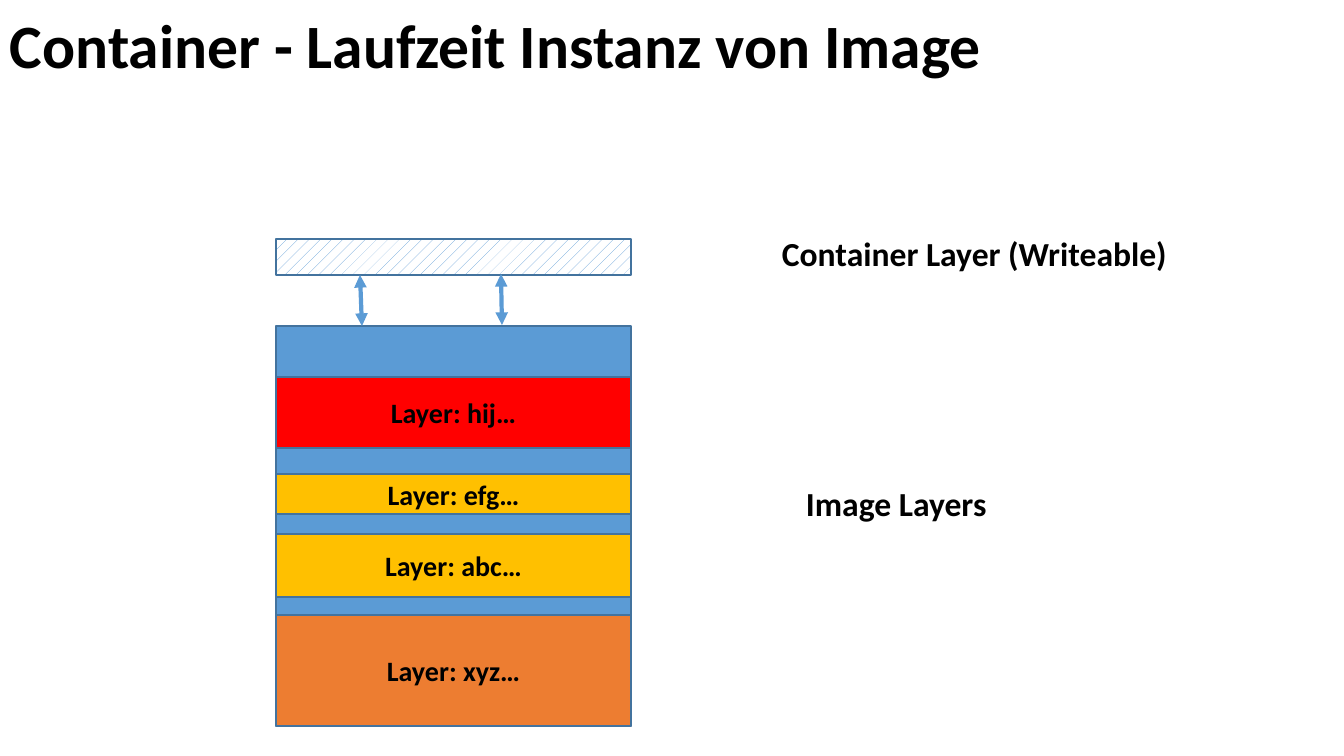
from lxml.etree import SubElement
from pptx import Presentation
from pptx.dml.color import RGBColor
from pptx.enum.dml import MSO_PATTERN
from pptx.enum.shapes import MSO_CONNECTOR, MSO_SHAPE
from pptx.enum.text import MSO_ANCHOR, MSO_AUTO_SIZE, PP_ALIGN
from pptx.oxml.ns import qn
from pptx.util import Pt

EMU_PER_PIXEL = 914400 / 100.8
FONT = "Calibri"
COLORS = {
    "text": "000000",
    "paper": "FFFFFF",
    "image": "5B9BD5",
    "outline": "43739E",
    "base": "ED7D31",
    "middle": "FFC000",
    "top": "FF0000",
}
STACK_LEFT, STACK_WIDTH = 276, 355


def px(value):
    return round(value * EMU_PER_PIXEL)


def color(key):
    return RGBColor.from_string(COLORS[key])


def write(frame, text, size, align):
    paragraph = frame.paragraphs[0]
    paragraph.alignment = align
    run = paragraph.add_run()
    run.text = text
    run.font.name = FONT
    run.font.size = Pt(size)
    run.font.bold = True
    run.font.color.rgb = color("text")
    return paragraph


def add_label(slide, text, left, top, width, height, size=24):
    label = slide.shapes.add_textbox(px(left), px(top), px(width), px(height))
    frame = label.text_frame
    frame.word_wrap = True
    write(frame, text, size, PP_ALIGN.LEFT)
    return frame


def add_layer(slide, top, height, fill, text=None):
    layer = slide.shapes.add_shape(
        MSO_SHAPE.RECTANGLE, px(STACK_LEFT), px(top), px(STACK_WIDTH), px(height))
    layer.shadow.inherit = False
    layer.fill.solid()
    layer.fill.fore_color.rgb = color(fill)
    layer.line.color.rgb = color("outline")
    layer.line.width = Pt(1)
    if text:
        layer.text_frame.word_wrap = True
        layer.text_frame.vertical_anchor = MSO_ANCHOR.MIDDLE
        write(layer.text_frame, text, 20, PP_ALIGN.CENTER)
    return layer


def add_double_arrow(slide, x1, y1, x2, y2):
    arrow = slide.shapes.add_connector(
        MSO_CONNECTOR.STRAIGHT, px(x1), px(y1), px(x2), px(y2))
    arrow.line.color.rgb = color("image")
    arrow.line.width = Pt(3)
    line = arrow.line._get_or_add_ln()
    for end in ("a:headEnd", "a:tailEnd"):
        SubElement(line, qn(end), type="triangle")
    SubElement(arrow._element.spPr, qn("a:effectLst"))


def main():
    prs = Presentation()
    prs.slide_width, prs.slide_height = px(1344), px(756)
    slide = prs.slides.add_slide(prs.slide_layouts[6])

    # Title
    title = add_label(slide, "Container - Laufzeit Instanz von Image",
                      0, 0, 1159, 97, size=44)
    title.vertical_anchor = MSO_ANCHOR.MIDDLE
    title.paragraphs[0].line_spacing = 0.9

    # Image with its read-only layers
    add_layer(slide, 326, 400, "image")
    for top, height, fill, name in (
        (615, 111, "base", "xyz"),
        (534, 63, "middle", "abc"),
        (377, 71, "top", "hij"),
        (474, 40, "middle", "efg"),
    ):
        add_layer(slide, top, height, fill, f"Layer: {name}…")

    # Writeable container layer
    container = add_layer(slide, 239, 36, "paper")
    container.fill.patterned()
    container.fill.pattern = MSO_PATTERN.PERCENT_10
    container.fill.fore_color.rgb = color("image")
    container.fill.back_color.rgb = color("paper")

    # Links between container and image
    add_double_arrow(slide, 360, 275, 362, 326)
    add_double_arrow(slide, 501, 274, 502, 325)

    # Captions
    for text, left, top, width in (
        ("Container Layer (Writeable)", 772, 228, 443),
        ("Image Layers", 796, 478, 318),
    ):
        caption = add_label(slide, text, left, top, width, 50)
        caption.auto_size = MSO_AUTO_SIZE.SHAPE_TO_FIT_TEXT

    prs.save("out.pptx")


main()
